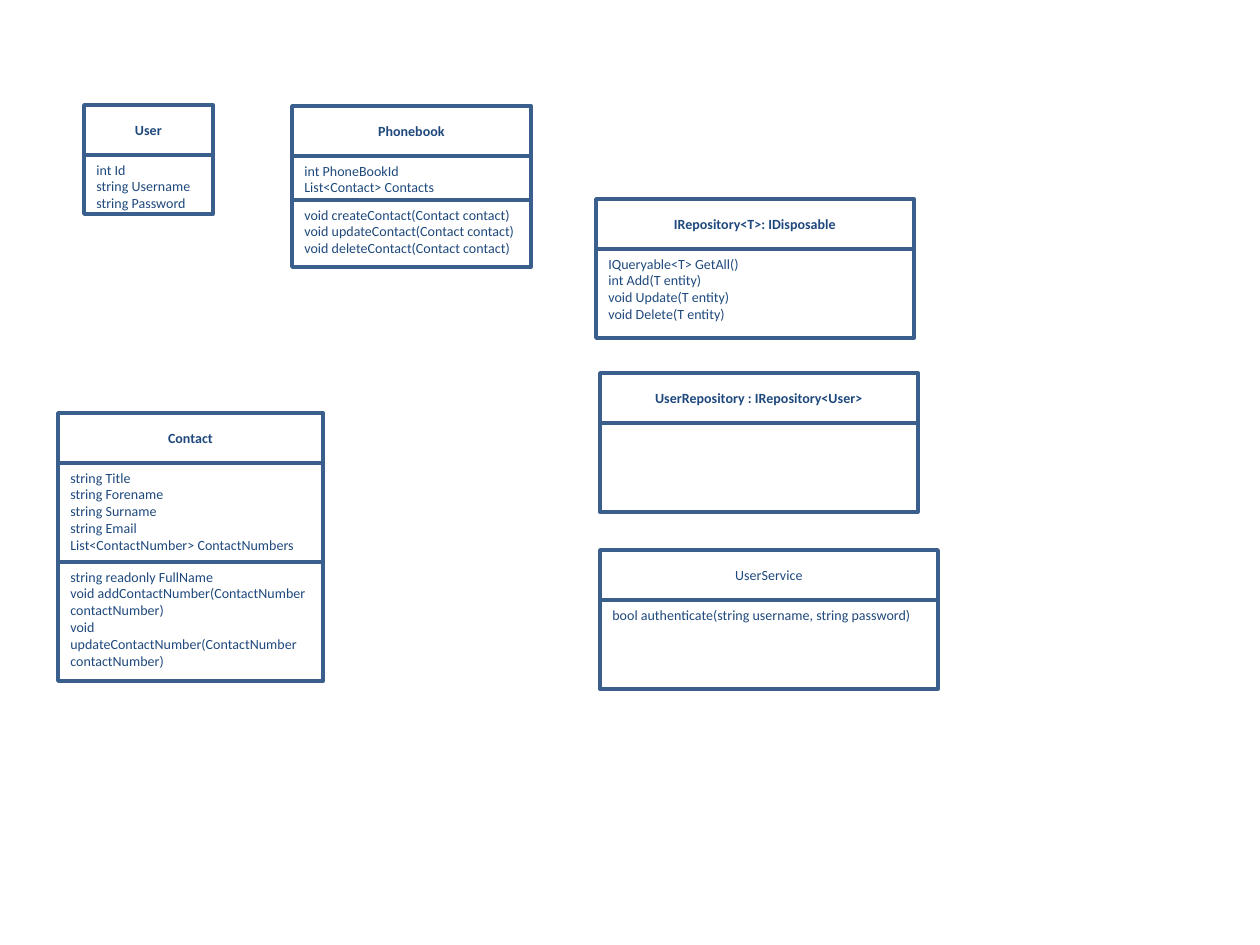
from pptx import Presentation
from pptx.dml.color import RGBColor
from pptx.enum.shapes import MSO_SHAPE as Shape
from pptx.enum.text import MSO_ANCHOR as Anchor, PP_ALIGN as Align
from pptx.util import Pt

# Classes: name, bold name, (left, top, width), [(section height, members)]
CLASSES = [
    ("User", True, (84, 105, 129), [
        (59, ["int Id", "string Username", "string Password"])]),
    ("Phonebook", True, (292, 106, 239), [
        (44, ["int PhoneBookId", "List<Contact> Contacts"]),
        (67, ["void createContact(Contact contact)",
              "void updateContact(Contact contact)",
              "void deleteContact(Contact contact)"])]),
    ("Contact", True, (58, 413, 265), [
        (99, ["string Title", "string Forename", "string Surname",
              "string Email", "List<ContactNumber> ContactNumbers"]),
        (119, ["string readonly FullName",
               "void addContactNumber(ContactNumber contactNumber)",
               "void updateContactNumber(ContactNumber contactNumber)"])]),
    ("IRepository<T>: IDisposable", True, (596, 199, 318), [
        (89, ["IQueryable<T> GetAll()", "int Add(T entity)",
              "void Update(T entity)", "void Delete(T entity)"])]),
    ("UserRepository : IRepository<User>", True, (600, 373, 318), [(89, [])]),
    ("UserService", False, (600, 550, 338), [
        (89, ["bool authenticate(string username, string password)"])]),
]
HEADER_HEIGHT = 50
BORDER, INK = "3A5F8C", "1F497D"
FONT, FONT_SIZE = "Calibri", 8


def px(pixels):
    return round(pixels * 914400 / 126)


def color(hex_code):
    return RGBColor.from_string(hex_code)


def add_section(slide, left, top, width, height, lines,
                align=Align.LEFT, anchor=Anchor.TOP, bold=False):
    section = slide.shapes.add_shape(
        Shape.FLOWCHART_PROCESS, px(left), px(top), px(width), px(height))
    section.shadow.inherit = False
    section.fill.background()
    section.line.color.rgb = color(BORDER)
    section.line.width = Pt(2)

    frame = section.text_frame
    frame.word_wrap = True
    frame.vertical_anchor = anchor
    frame.text = "\n".join(lines)
    for paragraph in frame.paragraphs:
        paragraph.alignment = align
        for run in paragraph.runs:
            run.font.name = FONT
            run.font.size = Pt(FONT_SIZE)
            run.font.bold = bold
            run.font.color.rgb = color(INK)


# Slide
deck = Presentation()
deck.slide_width, deck.slide_height = px(1260), px(945)
slide = deck.slides.add_slide(deck.slide_layouts[6])

# Class boxes: a header with its sections stacked below
for name, bold, (left, top, width), sections in CLASSES:
    add_section(slide, left, top, width, HEADER_HEIGHT, [name],
                Align.CENTER, Anchor.MIDDLE, bold)
    top += HEADER_HEIGHT
    for height, members in sections:
        add_section(slide, left, top, width, height, members)
        top += height

deck.save("out.pptx")
